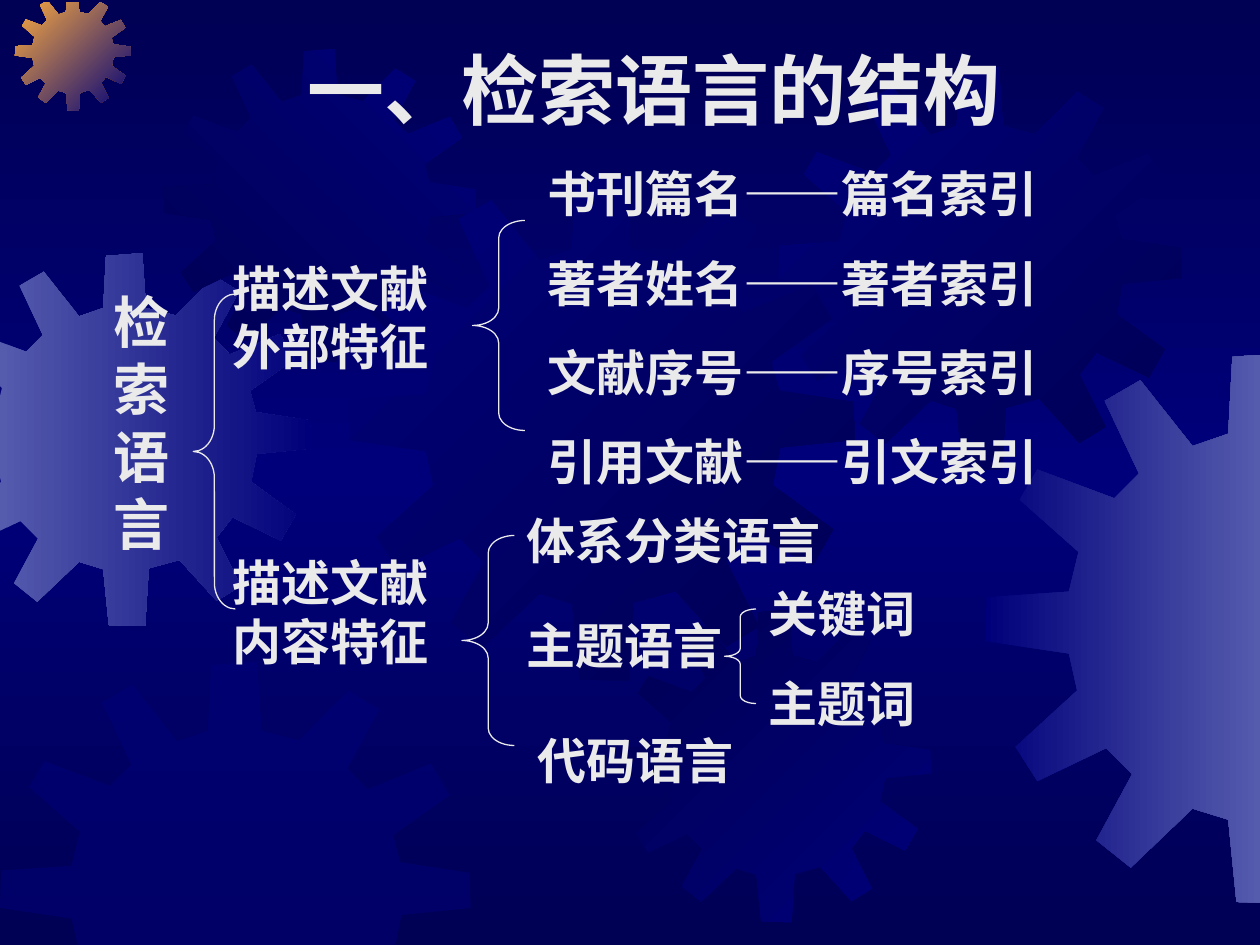
from lxml import etree
from pptx import Presentation
from pptx.dml.color import RGBColor
from pptx.enum import shapes, text
from pptx.oxml.ns import qn
from pptx.util import Pt

WIDTH, HEIGHT = 720, 540
CLIP_TOP = 1.5
NAVY, BLUE, LILAC, ORANGE, PALE = "000054", "00007A", "555BAD", "FCAB40", "EAEAEA"
SERIF, SANS, TITLE_FONT = "Times New Roman", "Arial", "Noto Sans CJK SC"

GEAR_UNITS = 401
GEAR = [
    (255, 67), (223, 59), (219, 0), (180, 3), (177, 59), (151, 68), (113, 20),
    (87, 35), (112, 88), (94, 106), (38, 85), (25, 107), (68, 145), (61, 174),
    (1, 178), (0, 210), (61, 219), (67, 246), (22, 287), (38, 312), (88, 288),
    (107, 307), (81, 355), (106, 375), (151, 332), (177, 340), (183, 400),
    (222, 401), (226, 339), (259, 330), (299, 374), (325, 358), (299, 306),
    (316, 284), (368, 309), (384, 281), (336, 246), (342, 216), (401, 210),
    (400, 180), (341, 171), (335, 148), (383, 114), (367, 87), (313, 109),
    (296, 91), (323, 41), (297, 25),
]


def color(value):
    return RGBColor.from_string(value)


def set_gradient(fill, element, colors, angle):
    fill.gradient()
    fill.gradient_angle = -angle % 360
    stops = next(element.iter(qn("a:gsLst")))
    for stop in list(stops):
        stops.remove(stop)
    for index, value in enumerate(colors):
        position = 100000 * index // (len(colors) - 1)
        stop = etree.SubElement(stops, qn("a:gs"), pos=str(position))
        etree.SubElement(stop, qn("a:srgbClr"), val=value)


def clip(points, axis, limit, sign):
    kept = []
    for start, end in zip(points[-1:] + points[:-1], points):
        start_inside = sign * (start[axis] - limit) >= 0
        end_inside = sign * (end[axis] - limit) >= 0
        if start_inside != end_inside:
            share = (limit - start[axis]) / (end[axis] - start[axis])
            kept.append(tuple(a + share * (b - a) for a, b in zip(start, end)))
        if end_inside:
            kept.append(end)
    return kept


def add_gear(slide, left, top, size, colors, angle=0, opacity=None):
    scale = size / GEAR_UNITS
    points = [(left + x * scale, top + y * scale) for x, y in GEAR]
    for axis, limit, sign in ((0, 0, 1), (0, WIDTH, -1), (1, CLIP_TOP, 1), (1, HEIGHT, -1)):
        points = clip(points, axis, limit, sign)
    points = [(Pt(x), Pt(y)) for x, y in points]
    builder = slide.shapes.build_freeform(*points[0])
    builder.add_line_segments(points[1:], close=True)
    shape = builder.convert_to_shape()
    shape.shadow.inherit = False
    shape.line.fill.background()
    if len(colors) > 1:
        set_gradient(shape.fill, shape.element, colors, angle)
    else:
        shape.fill.solid()
        shape.fill.fore_color.rgb = color(colors[0])
    if opacity:
        fill_color = next(shape.element.spPr.iter(qn("a:srgbClr")))
        etree.SubElement(fill_color, qn("a:alpha"), val=str(opacity * 1000))


def add_background(slide):
    set_gradient(slide.background.fill, slide.element, [NAVY, BLUE, NAVY], 90)
    add_gear(slide, -35, 144.7, 213, [LILAC, BLUE])
    add_gear(slide, 8.6, -2.9, 66, [ORANGE, BLUE], 45)
    add_gear(slide, 93.6, 28, 178.5, [NAVY, BLUE], 315)
    add_gear(slide, 199.4, 100, 289, [BLUE, NAVY], 45)
    add_gear(slide, 0, 378, 269, [BLUE], opacity=50)
    add_gear(slide, 353.5, 348.5, 178.5, [NAVY, BLUE], 45)
    add_gear(slide, 445, 38.2, 230.4, [BLUE, NAVY], 45)
    add_gear(slide, 563, 201.6, 314.6, [BLUE, LILAC])


def write(frame, *lines, size=28, font=SERIF, align=text.PP_ALIGN.LEFT, gap=17.5, indent=0):
    frame.word_wrap = True
    for index, line in enumerate(lines):
        paragraph = frame.paragraphs[0] if index == 0 else frame.add_paragraph()
        paragraph.alignment = align
        if index:
            paragraph.space_before = Pt(gap)
        if indent:
            paragraph._p.get_or_add_pPr().set("marL", str(Pt(indent)))
        run = paragraph.add_run()
        run.text = line
        run.font.size = Pt(size)
        run.font.name = font
        run.font.bold = True
        run.font.color.rgb = color(PALE)


def add_label(slide, left, top, width, height, *lines, inset_top=3.6, **formats):
    shape = slide.shapes.add_textbox(Pt(left), Pt(top), Pt(width), Pt(height))
    shape.text_frame.margin_top = Pt(inset_top)
    write(shape.text_frame, *lines, **formats)


def add_brace(slide, left, top, width, height):
    shape = slide.shapes.add_shape(
        shapes.MSO_SHAPE.LEFT_BRACE, Pt(left), Pt(top), Pt(width), Pt(height))
    shape.adjustments[0] = height / width / 12
    shape.shadow.inherit = False
    shape.fill.background()
    shape.line.color.rgb = color(PALE)
    shape.line.width = Pt(0.75)


def add_title(slide, left, top, width, height):
    title = slide.shapes.title
    title.left, title.top, title.width, title.height = map(Pt, (left, top, width, height))
    title.text_frame.vertical_anchor = text.MSO_ANCHOR.BOTTOM
    write(title.text_frame, "一、检索语言的结构", size=44, font=TITLE_FONT,
          align=text.PP_ALIGN.CENTER)
    title.element.getparent().append(title.element)


def add_root(slide, left, top):
    add_label(slide, left, top, 66, 252, "检索语言", size=32, font=SANS,
              indent=27, inset_top=42)
    add_brace(slide, left + 79.5, top + 45.6, 24, 180)


def add_external_features(slide, left, top):
    add_label(slide, left, top + 54, 132, 75, "描述文献外部特征")
    add_brace(slide, left + 144, top + 36, 30, 120)
    add_label(slide, left + 180, top, 300, 194.4, "书刊篇名——篇名索引",
              "著者姓名——著者索引", "文献序号——序号索引", "引用文献——引文索引")


def add_content_features(slide, left, top):
    add_label(slide, left, top + 24, 132, 75, "描述文献内容特征")
    add_brace(slide, left + 138, top + 18, 30, 120)
    add_label(slide, left + 168, top, 276, 41, "体系分类语言")
    add_label(slide, left + 168, top + 60, 156, 41, "主题语言")
    add_label(slide, left + 306, top + 42, 288, 92, "关键词", "主题词")
    add_brace(slide, left + 288, top + 60, 18, 54)
    add_label(slide, left + 174, top + 126, 156, 41, "代码语言")


def main():
    presentation = Presentation()
    presentation.slide_width, presentation.slide_height = Pt(WIDTH), Pt(HEIGHT)
    slide = presentation.slides.add_slide(presentation.slide_layouts[5])
    add_background(slide)
    add_root(slide, 31, 122.4)
    add_external_features(slide, 126, 90)
    add_content_features(slide, 126, 288)
    add_title(slide, 127.4, 15, 493, 66)
    presentation.save("out.pptx")


if __name__ == "__main__":
    main()
